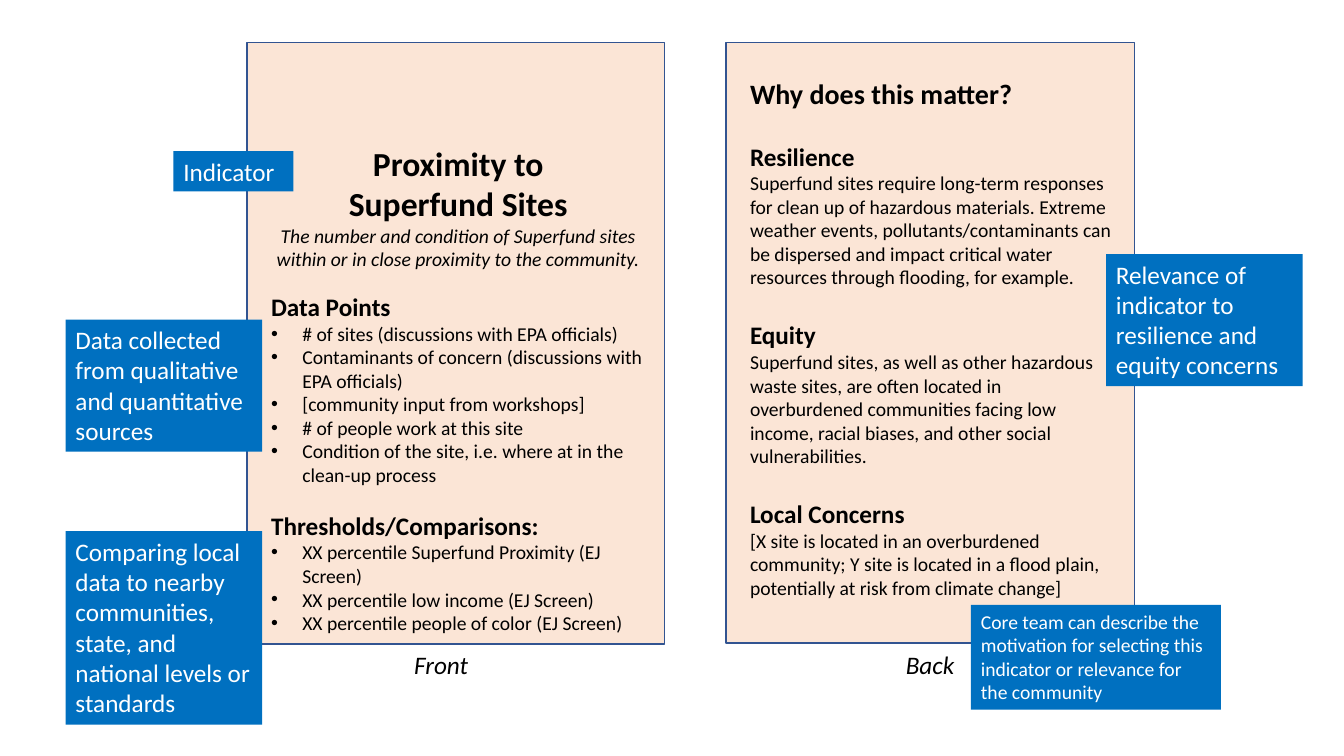
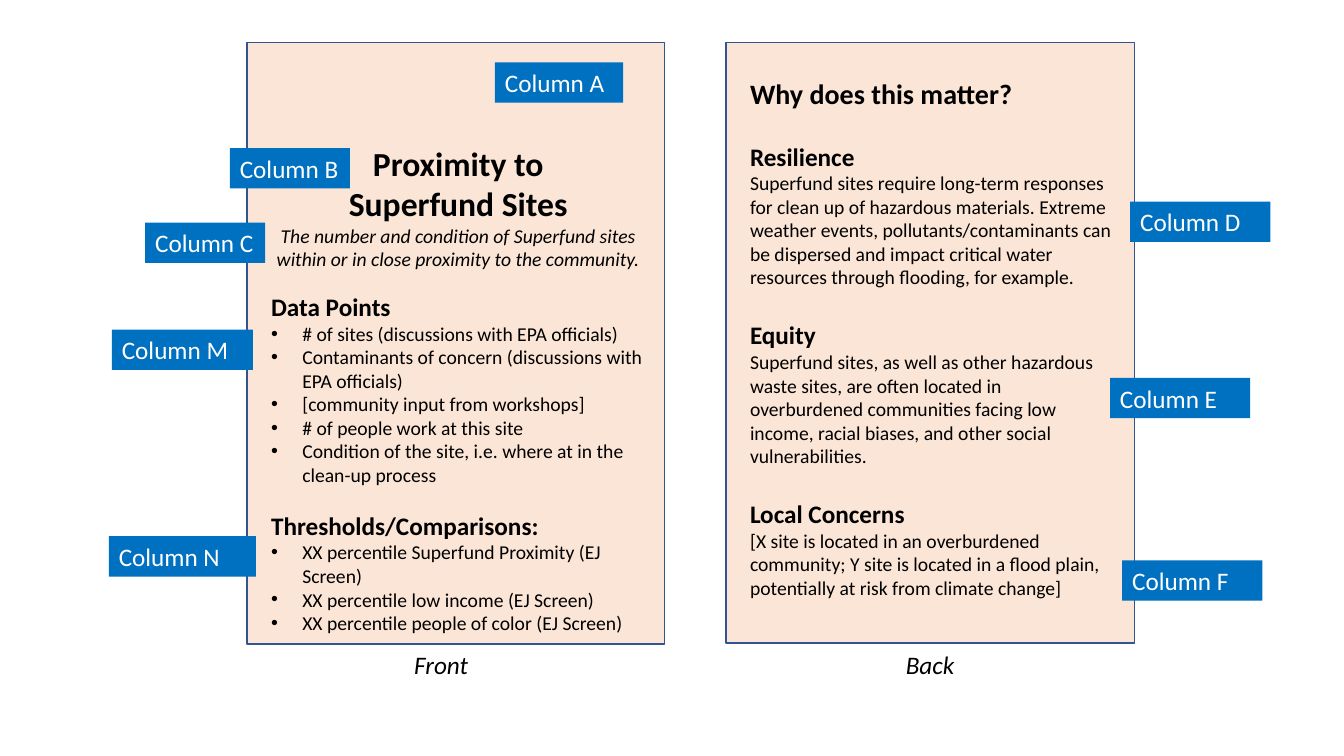
from lxml import etree
from pptx import Presentation
from pptx import util as u
from pptx.dml.color import RGBColor
from pptx.enum import shapes, text
from pptx.oxml.ns import qn

PEACH = RGBColor(0xFB, 0xE5, 0xD6)
NAVY = RGBColor(0x32, 0x54, 0x91)
BLUE = RGBColor(0x00, 0x70, 0xC0)
BLACK = RGBColor(0, 0, 0)
WHITE = RGBColor(255, 255, 255)
FONT = "Calibri"
INDENT = u.Inches(0.31)
MID = text.PP_ALIGN.CENTER

# Text styles: font values, and paragraph values where they differ
FONTS = {
    "title": {"size": u.Pt(24), "bold": True},
    "lead": {"size": u.Pt(14), "italic": True},
    "topic": {"size": u.Pt(20), "bold": True},
    "head": {"size": u.Pt(18), "bold": True},
    "body": {"size": u.Pt(14)},
    "item": {"size": u.Pt(14)},
    "side": {"size": u.Pt(18), "italic": True},
    "note": {"size": u.Pt(18)},
}
PARAS = {
    "title": {"alignment": MID},
    "lead": {"alignment": MID},
    "side": {"alignment": MID},
}

# Card text: style, wording, space before in points
FRONT = [
    ("title", "Proximity to", 0),
    ("title", "Superfund Sites", 0),
    ("lead", "The number and condition of Superfund sites within or in close "
             "proximity to the community.", 0),
    ("head", "Data Points", 14.6),
    ("item", "# of sites (discussions with EPA officials)", 0),
    ("item", "Contaminants of concern (discussions with EPA officials)", 0),
    ("item", "[community input from workshops]", 0),
    ("item", "# of people work at this site", 0),
    ("item", "Condition of the site, i.e. where at in the clean-up process", 0),
    ("head", "Thresholds/Comparisons:", 17.1),
    ("item", "XX percentile Superfund Proximity (EJ Screen)", 0),
    ("item", "XX percentile low income (EJ Screen)", 0),
    ("item", "XX percentile people of color (EJ Screen)", 0),
]
BACK = [
    ("topic", "Why does this matter?", 0),
    ("head", "Resilience", 22),
    ("body", "Superfund sites require long-term responses for clean up of "
             "hazardous materials. Extreme weather events, "
             "pollutants/contaminants can be dispersed and impact critical "
             "water resources through flooding, for example.", 0),
    ("head", "Equity", 22),
    ("body", "Superfund sites, as well as other hazardous waste sites, are "
             "often located in overburdened communities facing low income, "
             "racial biases, and other social vulnerabilities.", 0),
    ("head", "Local Concerns", 22),
    ("body", "[X site is located in an overburdened community; Y site is "
             "located in a flood plain, potentially at risk from climate "
             "change]", 0),
]

# Callouts: left, top, width, height, style, wording
ROLES = [
    (1.72, 1.5, 1.19, 0.4, "note", "Indicator"),
    (9.63, 6, 2.48, 1.04, "body",
     "Core team can describe the motivation for selecting this indicator or "
     "relevance for the community"),
    (0.65, 3.17, 1.95, 1.31, "note",
     "Data collected from qualitative and quantitative sources"),
    (0.65, 5.27, 1.95, 1.92, "note",
     "Comparing local data to nearby communities, state, and national levels "
     "or standards"),
    (10.97, 2.52, 1.95, 1.31, "note",
     "Relevance of indicator to resilience and equity concerns"),
]
COLUMNS = [
    (left, top, wide, 0.4, "note", f"Column {key}")
    for key, left, top, wide in [
        ("B", 2.28, 1.47, 1.19), ("M", 1.11, 3.27, 1.4),
        ("N", 1.08, 5.32, 1.46), ("D", 11.21, 2, 1.39),
        ("C", 1.44, 2.21, 1.19), ("A", 4.91, 0.62, 1.27),
        ("E", 11.01, 3.75, 1.39), ("F", 11.13, 5.56, 1.39),
    ]
]


def apply(item, values):
    for name, value in values.items():
        setattr(item, name, value)


def bullet(para):
    props = para._p.get_or_add_pPr()
    props.set("marL", str(INDENT))
    props.set("indent", str(-INDENT))
    etree.SubElement(props, qn("a:buFont")).set("typeface", "Arial")
    etree.SubElement(props, qn("a:buChar")).set("char", "•")


def write(shape, lines, color):
    frame = shape.text_frame
    apply(frame, {"word_wrap": True, "vertical_anchor": text.MSO_ANCHOR.TOP})
    for count, (style, words, gap) in enumerate(lines):
        para = frame.add_paragraph() if count else frame.paragraphs[0]
        apply(para, {"alignment": text.PP_ALIGN.LEFT, "space_before": u.Pt(gap),
                     **PARAS.get(style, {})})
        if style == "item":
            bullet(para)
        run = para.add_run()
        run.text = words
        apply(run.font, {"name": FONT, **FONTS[style]})
        run.font.color.rgb = color


def block(slide, box, fill, line=None):
    shape = slide.shapes.add_shape(shapes.MSO_SHAPE.RECTANGLE,
                                   *map(u.Inches, box))
    shape.shadow.inherit = False
    shape.fill.solid()
    shape.fill.fore_color.rgb = fill
    if line is None:
        shape.line.fill.background()
    else:
        shape.line.color.rgb = line
        shape.line.width = u.Pt(1)
    return shape


def label(slide, box, lines):
    write(slide.shapes.add_textbox(*map(u.Inches, box)), lines, BLACK)


def cards(slide):
    # Both sides of the card, then their text and captions
    block(slide, (7.2, 0.42, 4.05, 5.96), PEACH, NAVY)
    block(slide, (2.45, 0.42, 4.14, 5.97), PEACH, NAVY)
    label(slide, (2.59, 1.37, 3.91, 5.85), FRONT)
    label(slide, (7.34, 0.71, 3.79, 5.62), BACK)
    for left, words in ((3.3, "Front"), (8.15, "Back")):
        label(slide, (left, 6.39, 2.15, 0.4), [("side", words, 0)])


def main():
    deck = Presentation()
    apply(deck, {"slide_width": u.Inches(13.33), "slide_height": u.Inches(7.5)})
    for notes in (ROLES, COLUMNS):
        slide = deck.slides.add_slide(deck.slide_layouts[6])
        cards(slide)
        for *box, style, words in notes:
            write(block(slide, box, BLUE), [(style, words, 0)], WHITE)
    deck.save("out.pptx")


if __name__ == "__main__":
    main()
